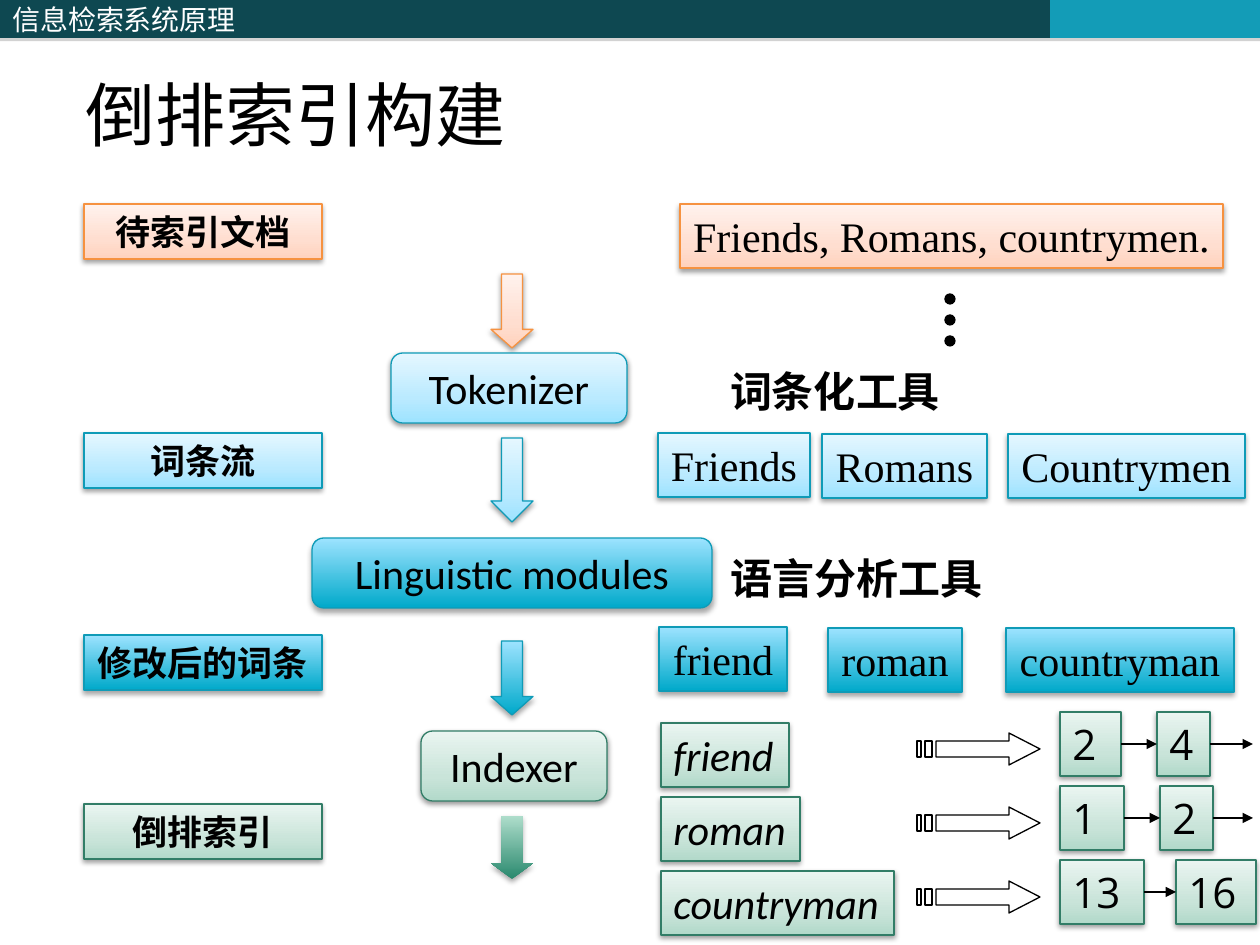
from dataclasses import dataclass

from lxml import etree
from pptx import Presentation, util as u
from pptx.dml.color import RGBColor
from pptx.enum import shapes as s, text as t
from pptx.oxml.ns import qn

SCALE = 914400 / 126  # EMU in one px
STEP = 74  # from one posting row to the next
HAN = "Noto Sans CJK SC"
SERIF, SANS, OPEN = "Times New Roman", "Calibri", "Open Sans"
COLORS = {
    "black": "000000", "white": "FFFFFF", "gray": "808080",
    "bar": "0E4851", "tab": "139CB7",
    "orange": "F69240", "blue": "0F9BB7", "green": "327D67",
}


@dataclass(frozen=True)
class Look:
    stops: dict[int, str]
    line: str | None
    alpha: int = 38
    drop: float = 1.6


@dataclass(frozen=True)
class Style:
    font: str
    size: int = 24
    bold: bool = False
    italic: bool = False
    align: t.PP_ALIGN = t.PP_ALIGN.CENTER
    anchor: t.MSO_ANCHOR = t.MSO_ANCHOR.MIDDLE
    color: str = "black"


@dataclass(frozen=True)
class Box:
    text: str
    left: int
    top: int
    width: int
    height: int
    look: Look | None
    style: Style
    kind: s.MSO_SHAPE = s.MSO_SHAPE.RECTANGLE


@dataclass(frozen=True)
class Arrow:
    top: int
    height: int
    look: Look


@dataclass(frozen=True)
class Posting:
    term: str
    width: int
    first: tuple[str, int, int]  # text, left, width
    second: tuple[str, int, int]
    more: bool = True


PEACH = Look({0: "FFD2BD", 35: "FFDED0", 100: "FFF2ED"}, "orange")
SKY = Look({0: "9DE3FF", 35: "BAEAFF", 100: "E5F7FF"}, "blue")
OCEAN = Look({0: "00A9CA", 100: "9DE3FF"}, "blue", 35, 1.8)
MINT = Look({0: "B2D9CA", 35: "C9E4D9", 100: "EAF5F1"}, "green")
PINE = Look({0: "2A896E", 100: "AEDDCB"}, None, 35, 1.8)

LEFT, TOP = t.PP_ALIGN.LEFT, t.MSO_ANCHOR.TOP
LABEL = Style(OPEN, 20, bold=True, anchor=TOP)
TOOL = Style(SANS)
TERM = Style(SERIF)
NOTE = Style(SERIF, bold=True)
ENTRY = Style(SANS, italic=True, align=LEFT, anchor=TOP)
DIGIT = Style(OPEN, align=LEFT, anchor=TOP)
HEAD = Style(HAN, 16, align=LEFT, color="white")
TITLE = Style(SERIF, 40, align=LEFT, anchor=t.MSO_ANCHOR.BOTTOM)

ROUND = s.MSO_SHAPE.FLOWCHART_ALTERNATE_PROCESS
BOXES = [
    *(Box(name, 84, top, 238, 55, look, LABEL) for name, top, look in [
        ("待索引文档", 204, PEACH), ("词条流", 433, SKY),
        ("修改后的词条", 635, OCEAN), ("倒排索引", 804, MINT)]),
    *(Box(name, left, top, width, 70, look, TOOL, ROUND)
      for name, left, top, width, look in [
        ("Tokenizer", 391, 353, 236, SKY),
        ("Linguistic modules", 312, 538, 400, OCEAN),
        ("Indexer", 421, 731, 186, MINT)]),
    *(Box(name, left, top, width, 64, look, TERM)
      for name, left, top, width, look in [
        ("Friends, Romans, countrymen.", 680, 204, 543, PEACH),
        ("Friends", 658, 433, 152, SKY), ("Romans", 822, 434, 165, SKY),
        ("Countrymen", 1008, 434, 237, SKY),
        ("friend", 659, 627, 128, OCEAN), ("roman", 828, 628, 134, OCEAN),
        ("countryman", 1006, 628, 228, OCEAN)]),
    Box("词条化工具", 716, 359, 238, 63, None, NOTE),
    Box("语言分析工具", 717, 546, 280, 63, None, NOTE),
]
ARROWS = [Arrow(274, 74, PEACH), Arrow(438, 84, SKY),
          Arrow(641, 74, OCEAN), Arrow(816, 63, PINE)]
POSTINGS = [
    Posting("friend", 128, ("2", 1060, 61), ("4", 1157, 53)),
    Posting("roman", 139, ("1", 1060, 64), ("2", 1160, 53)),
    Posting("countryman", 233, ("13", 1060, 84), ("16", 1176, 80), False),
]


def px(*values: int) -> list[int]:
    return [round(value * SCALE) for value in values]


def rgb(name: str) -> RGBColor:
    return RGBColor.from_string(COLORS[name])


def stroke(line, name: str | None) -> None:
    if name is None:
        line.fill.background()
        return
    line.color.rgb = rgb(name)
    line.width = u.Pt(0.75)


def shade(shape, color: str, alpha: int, blur: float, drop: float) -> None:
    """Give the shape a shadow that falls straight down."""
    shape.shadow.inherit = False
    effects = shape._element.spPr.find(qn("a:effectLst"))
    outer = etree.SubElement(
        effects, qn("a:outerShdw"), blurRad=str(u.Pt(blur)),
        dist=str(u.Pt(drop)), dir="5400000", rotWithShape="0")
    tint = etree.SubElement(outer, qn("a:srgbClr"), val=COLORS[color])
    etree.SubElement(tint, qn("a:alpha"), val=str(alpha * 1000))


def paint(shape, look: Look) -> None:
    shape.fill.gradient()
    shape.fill.gradient_angle = 90
    stops = next(shape._element.spPr.iter(qn("a:gsLst")))
    stops.clear()
    for place, color in look.stops.items():
        stop = etree.SubElement(stops, qn("a:gs"), pos=str(place * 1000))
        etree.SubElement(stop, qn("a:srgbClr"), val=color)
    stroke(shape.line, look.line)
    shade(shape, "black", look.alpha, 3.1, look.drop)


def write(shape, words: str, style: Style, wrap: bool) -> None:
    frame = shape.text_frame
    frame.text = words
    frame.word_wrap = wrap
    frame.vertical_anchor = style.anchor
    para = frame.paragraphs[0]
    para.alignment = style.align
    font = para.font
    font.name, font.size = style.font, u.Pt(style.size)
    font.bold, font.italic = style.bold, style.italic
    font.color.rgb = rgb(style.color)
    base = para._p.pPr.find(qn("a:defRPr"))
    etree.SubElement(base, qn("a:ea"), typeface=HAN)


def draw_box(slide, box: Box) -> None:
    place = px(box.left, box.top, box.width, box.height)
    if box.look is None:
        shape = slide.shapes.add_textbox(*place)
    else:
        shape = slide.shapes.add_shape(box.kind, *place)
        paint(shape, box.look)
    write(shape, box.text, box.style, wrap=box.text.isdigit())


def draw_flat(slide, kind, place: tuple[int, ...], fill: str, line: str | None):
    shape = slide.shapes.add_shape(kind, *px(*place))
    shape.fill.solid()
    shape.fill.fore_color.rgb = rgb(fill)
    stroke(shape.line, line)
    shape.shadow.inherit = False
    return shape


def draw_arrow(slide, arrow: Arrow) -> None:
    shape = slide.shapes.add_shape(
        s.MSO_SHAPE.DOWN_ARROW, *px(491, arrow.top, 42, arrow.height))
    shape.adjustments[1] = arrow.height / 168
    paint(shape, arrow.look)


def draw_stripes(slide, left: int, top: int) -> None:
    """Draw an outlined arrow with two stripes for a tail."""
    parts = [[(92, 0), (92, 8), (19, 8), (19, 24), (92, 24), (92, 32), (123, 16)]]
    parts += [[(a, 8), (a, 24), (b, 24), (b, 8)] for a, b in [(8, 15), (0, 4)]]
    pen = slide.shapes.build_freeform(*parts[0][0], scale=SCALE)
    for part in parts:
        pen.move_to(*part[0])
        pen.add_line_segments(part[1:], close=True)
    shape = pen.convert_to_shape(*px(left, top))
    shape.fill.background()
    stroke(shape.line, "black")
    shape.shadow.inherit = False


def draw_link(slide, start: int, end: int, y: int) -> None:
    link = slide.shapes.add_connector(s.MSO_CONNECTOR.STRAIGHT, *px(start, y, end, y))
    stroke(link.line, "black")
    etree.SubElement(link.line._get_or_add_ln(), qn("a:tailEnd"), type="triangle")
    etree.SubElement(link._element.spPr, qn("a:effectLst"))


def draw_posting(slide, row: int, post: Posting) -> None:
    drop = row * STEP
    draw_box(slide, Box(post.term, 661, 723 + drop, post.width, 64, MINT, ENTRY))
    draw_stripes(slide, 917, 733 + drop)
    for words, left, width in (post.first, post.second):
        draw_box(slide, Box(words, left, 712 + drop, width, 64, MINT, DIGIT))
    draw_link(slide, sum(post.first[1:]), post.second[1], 744 + drop)
    if post.more:
        draw_link(slide, sum(post.second[1:]), 1253, 744 + drop)


def main() -> None:
    deck = Presentation()
    deck.slide_width, deck.slide_height = px(1260, 945)
    slide = deck.slides.add_slide(deck.slide_layouts[5])
    for left, width, fill, words in [
            (0, 514, "bar", "信息检索系统原理"), (514, 536, "bar", ""),
            (1050, 210, "tab", "")]:
        bar = draw_flat(slide, s.MSO_SHAPE.RECTANGLE, (left, 0, width, 38), fill, None)
        shade(bar, "gray", 35, 0, 1.8)
        if words:
            write(bar, words, HEAD, wrap=True)
    title = slide.shapes.title
    title.left, title.top, title.width, title.height = px(73, 45, 1113, 117)
    write(title, "倒排索引构建", TITLE, wrap=True)
    for arrow in ARROWS:
        draw_arrow(slide, arrow)
    for box in BOXES:
        draw_box(slide, box)
    for top in (294, 315, 336):
        draw_flat(slide, s.MSO_SHAPE.OVAL, (945, top, 10, 10), "black", "black")
    for row, post in enumerate(POSTINGS):
        draw_posting(slide, row, post)
    deck.save("out.pptx")


if __name__ == "__main__":
    main()
